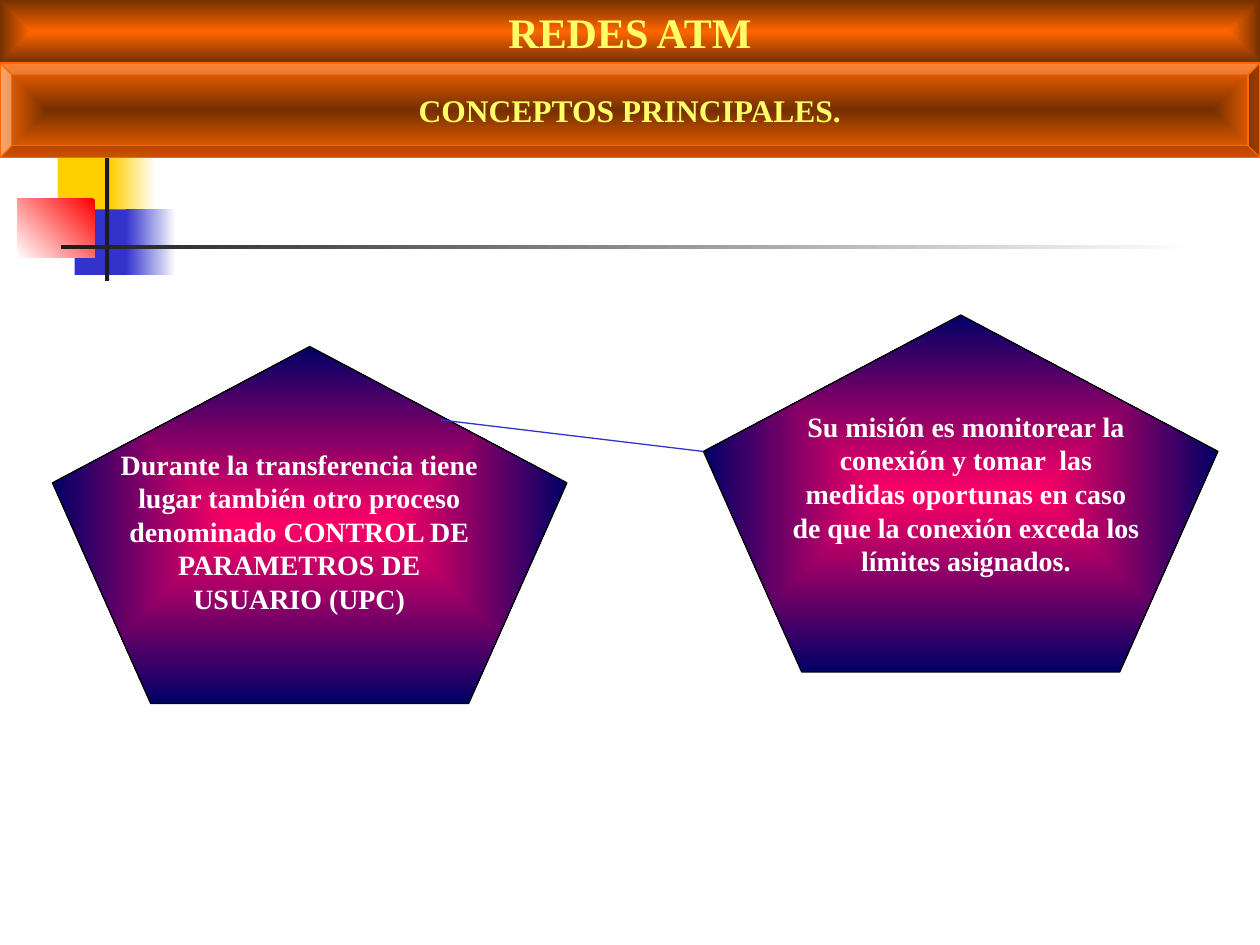
"""Build the ATM networks slide about user parameter control."""
import pptx
import pptx.dml.color
import pptx.enum.shapes
import pptx.enum.text
import pptx.oxml
import pptx.oxml.ns
import pptx.util

Pt = pptx.util.Pt
RGB = pptx.dml.color.RGBColor.from_string
SHAPE = pptx.enum.shapes.MSO_SHAPE
ANCHOR = pptx.enum.text.MSO_ANCHOR
COLORS = {
    "white": "FFFFFF", "black": "000000", "charcoal": "1C1C1C",
    "gold": "FFCF01", "blue": "3333CC", "red": "FF0000",
    "pink": "FF0066", "navy": "000066",
    "orange": "FF6600", "brown": "752F00", "yellow": "FFFF66",
}


def paint(shape, *names, angle=0, centered=False):
    if len(names) == 1:
        shape.fill.solid()
        shape.fill.fore_color.rgb = RGB(COLORS[names[0]])
        return
    shape.fill.gradient()
    shape.fill.gradient_angle = angle
    for stop, name in zip(shape.fill.gradient_stops, names):
        stop.color.rgb = RGB(COLORS[name])
    if centered:
        linear = shape._element.spPr.find(".//" + pptx.oxml.ns.qn("a:lin"))
        linear.getparent().replace(linear, pptx.oxml.parse_xml(
            f'<a:path {pptx.oxml.ns.nsdecls("a")} path="rect">'
            '<a:fillToRect l="50000" t="50000" r="50000" b="50000"/></a:path>'))


def write(shape, text, size=16, color="white", anchor=ANCHOR.TOP, wrap=True):
    frame = shape.text_frame
    frame.text = text
    frame.word_wrap = wrap
    frame.auto_size = pptx.enum.text.MSO_AUTO_SIZE.NONE
    frame.vertical_anchor = anchor
    frame.margin_left = frame.margin_right = Pt(7.2)
    frame.margin_top = frame.margin_bottom = Pt(3.6)
    paragraph = frame.paragraphs[0]
    paragraph.alignment = pptx.enum.text.PP_ALIGN.CENTER
    paragraph.space_before = Pt(0)
    font = paragraph.runs[0].font
    font.name, font.size, font.bold = "Times New Roman", Pt(size), True
    font.color.rgb = RGB(COLORS[color])


deck = pptx.Presentation()
deck.slide_width, deck.slide_height = Pt(720), Pt(540)
slide = deck.slides.add_slide(deck.slide_layouts[5])
shapes = slide.shapes

heading = shapes.title
heading.left, heading.top, heading.width, heading.height = Pt(0), Pt(0), Pt(720), Pt(36)
paint(heading, "orange", "brown", centered=True)
write(heading, "REDES ATM", size=24, color="yellow")

ornaments = [
    ((33, 86.4, 34.5, 37.4), ("gold",), 0),
    ((63.3, 86.4, 25.9, 37.4), ("gold", "white"), 0),
    ((42.6, 119.7, 33, 37.4), ("blue",), 0),
    ((72, 119.7, 28.5, 37.4), ("blue", "white"), 0),
    ((9.8, 113.7, 44.3, 33.5), ("red", "white"), 225),
    ((60, 78, 2.4, 82.6), ("charcoal",), 0),
    ((34.8, 140.1, 648, 2.5), ("charcoal", "white"), 0),
]
for box, names, angle in ornaments:
    ornament = shapes.add_shape(SHAPE.RECTANGLE, *map(Pt, box))
    ornament.shadow.inherit = False
    ornament.line.fill.background()
    paint(ornament, *names, angle=angle)

for left, top in [(30, 198), (402, 180)]:
    pentagon = shapes.add_shape(
        SHAPE.REGULAR_PENTAGON, Pt(left), Pt(top), Pt(294), Pt(204))
    pentagon.shadow.inherit = False
    pentagon.line.color.rgb = RGB(COLORS["black"])
    pentagon.line.width = Pt(0.75)
    paint(pentagon, "pink", "navy", centered=True)

link = shapes.add_connector(
    pptx.enum.shapes.MSO_CONNECTOR.STRAIGHT, Pt(252), Pt(240), Pt(402), Pt(258))
link.line.color.rgb = RGB(COLORS["blue"])
link.line.width = Pt(0.75)
link._element.spPr.append(
    pptx.oxml.parse_xml(f'<a:effectLst {pptx.oxml.ns.nsdecls("a")}/>'))

explanations = [
    ((60, 252, 222, 104), "Durante la transferencia tiene lugar también otro proceso "
     "denominado CONTROL DE PARAMETROS DE USUARIO (UPC)"),
    ((444, 230.4, 216, 104), "Su misión es monitorear la conexión y tomar  las medidas "
     "oportunas en caso de que la conexión exceda los límites asignados."),
]
for box, text in explanations:
    write(shapes.add_textbox(*map(Pt, box)), text)

subtitle = shapes.add_shape(SHAPE.BEVEL, Pt(0), Pt(36), Pt(720), Pt(54))
subtitle.adjustments[0] = 0.125
subtitle.shadow.inherit = False
subtitle.line.color.rgb = RGB(COLORS["orange"])
subtitle.line.width = Pt(0.75)
paint(subtitle, "brown", "orange", centered=True)
write(subtitle, "CONCEPTOS PRINCIPALES.", size=18, color="yellow",
      anchor=ANCHOR.MIDDLE, wrap=False)

deck.save("out.pptx")
